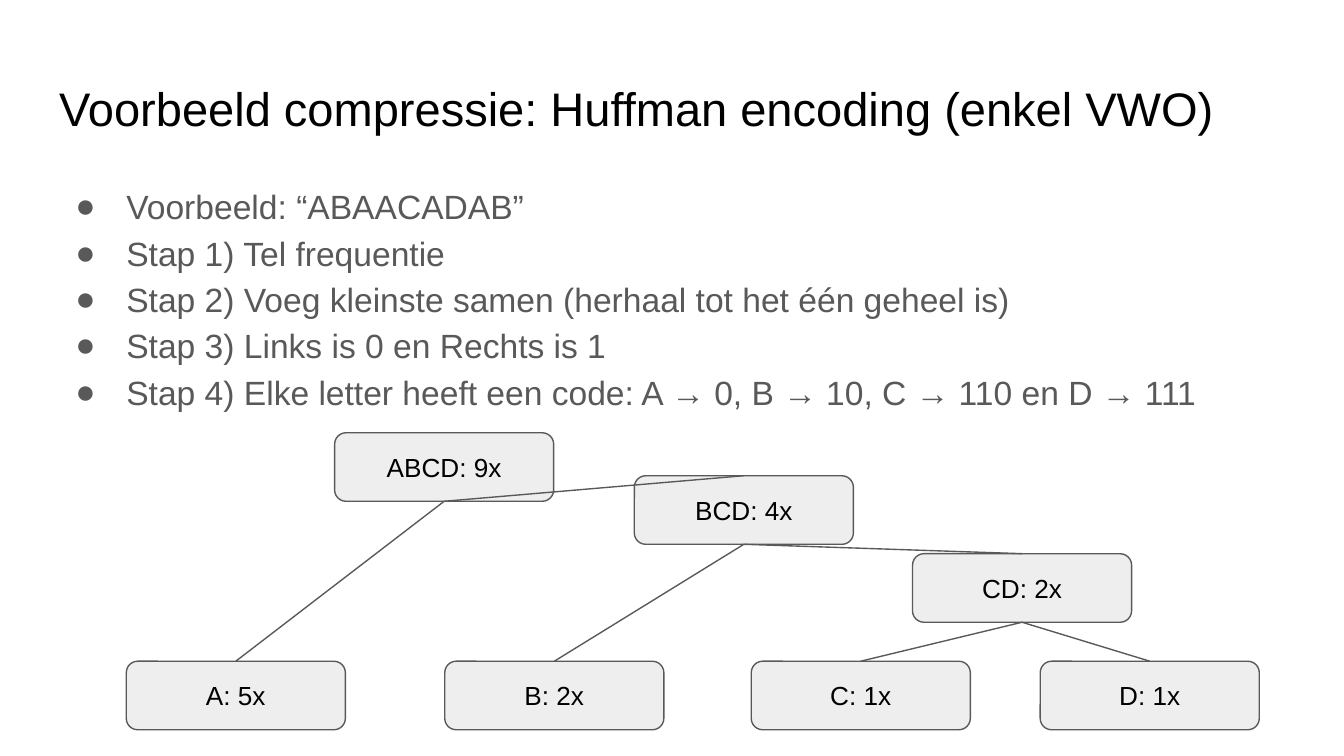
from pptx import Presentation
from pptx.dml.color import RGBColor
from pptx.enum.shapes import MSO_CONNECTOR as Link, MSO_SHAPE as Shape
from pptx.enum.text import MSO_ANCHOR as Anchor, MSO_AUTO_SIZE as Fit, PP_ALIGN as Align
from pptx.oxml.ns import qn
from pptx.util import Inches, Pt
from lxml.etree import SubElement

WIDE = 10
HIGH = WIDE * 9 / 16
NODE_W, NODE_H = 1.63, 0.51
LEAF_Y = 4.92
BLACK, GREY, PALE = "000000", "595959", "EEEEEE"
BOTTOM, TOP = 2, 0

TITLE = "Voorbeeld compressie: Huffman encoding (enkel VWO)"
STEPS = [
    "Voorbeeld: “ABAACADAB”",
    "Stap 1) Tel frequentie",
    "Stap 2) Voeg kleinste samen (herhaal tot het één geheel is)",
    "Stap 3) Links is 0 en Rechts is 1",
    "Stap 4) Elke letter heeft een code: A → 0, B → 10, C → 110 en D → 111",
]
# letters: (count, left, top)
NODES = {
    "A": (5, 0.94, LEAF_Y),
    "B": (2, 3.31, LEAF_Y),
    "C": (1, 5.59, LEAF_Y),
    "D": (1, 7.74, LEAF_Y),
    "CD": (2, 6.79, 4.12),
    "BCD": (4, 4.72, 3.54),
    "ABCD": (9, 2.49, 3.22),
}
# parent: its left and right child
TREE = {"CD": "C D", "BCD": "B CD", "ABCD": "A BCD"}


def color(code):
    return RGBColor.from_string(code)


def style(par, size, code):
    for run in par.runs:
        run.font.name = "Arial"
        run.font.size = Pt(size)
        run.font.color.rgb = color(code)


def outline(shape):
    shape.line.color.rgb = color(GREY)
    shape.line.width = Pt(0.75)


def set_frame(frame, anchor):
    frame.margin_left = frame.margin_right = Inches(0.1)
    frame.margin_top = frame.margin_bottom = Inches(0.1)
    frame.vertical_anchor = anchor
    frame.word_wrap = True
    frame.auto_size = Fit.NONE


def place(holder, top, height, anchor):
    """Move a placeholder to the full text width of the slide."""
    edge = 0.034 * WIDE
    holder.left, holder.top = Inches(edge), Inches(top)
    holder.width, holder.height = Inches(WIDE - 2 * edge), Inches(height)
    set_frame(holder.text_frame, anchor)


def add_bullet(par):
    par.line_spacing = 1.15
    par.space_before = Pt(0)
    props = par._p.get_or_add_pPr()
    props.set("marL", str(Inches(0.5)))
    props.set("indent", str(Inches(-0.38)))
    tint = SubElement(props, qn("a:buClr"))
    SubElement(tint, qn("a:srgbClr"), val=GREY)
    SubElement(props, qn("a:buFont"), typeface="Arial")
    SubElement(props, qn("a:buChar"), char="●")


def add_title(slide):
    title = slide.shapes.title
    place(title, 0.49, 0.63, Anchor.TOP)
    title.text_frame.text = TITLE
    par = title.text_frame.paragraphs[0]
    par.alignment = Align.LEFT
    style(par, 25.2, BLACK)


def add_steps(slide):
    body = slide.placeholders[1]
    place(body, 1.24, 3.74, Anchor.TOP)
    body.text_frame.text = "\n".join(STEPS)
    for par in body.text_frame.paragraphs:
        add_bullet(par)
        style(par, 18, GREY)


def add_node(slide, text, left, top):
    node = slide.shapes.add_shape(
        Shape.ROUNDED_RECTANGLE, Inches(left), Inches(top), Inches(NODE_W), Inches(NODE_H))
    node.shadow.inherit = False
    node.fill.solid()
    node.fill.fore_color.rgb = color(PALE)
    outline(node)
    set_frame(node.text_frame, Anchor.MIDDLE)
    node.text_frame.text = text
    par = node.text_frame.paragraphs[0]
    par.alignment = Align.CENTER
    style(par, 14, BLACK)
    return node


def add_branch(slide, parent, child):
    branch = slide.shapes.add_connector(Link.STRAIGHT, 0, 0, 0, 0)
    branch.begin_connect(parent, BOTTOM)
    branch.end_connect(child, TOP)
    outline(branch)
    SubElement(branch._element.spPr, qn("a:effectLst"))


def main():
    deck = Presentation()
    deck.slide_width, deck.slide_height = Inches(WIDE), Inches(HIGH)
    slide = deck.slides.add_slide(deck.slide_layouts[1])
    add_title(slide)
    add_steps(slide)
    nodes = {name: add_node(slide, f"{name}: {count}x", left, top)
             for name, (count, left, top) in NODES.items()}
    for parent, children in TREE.items():
        for child in children.split():
            add_branch(slide, nodes[parent], nodes[child])
    deck.save("out.pptx")


if __name__ == "__main__":
    main()
